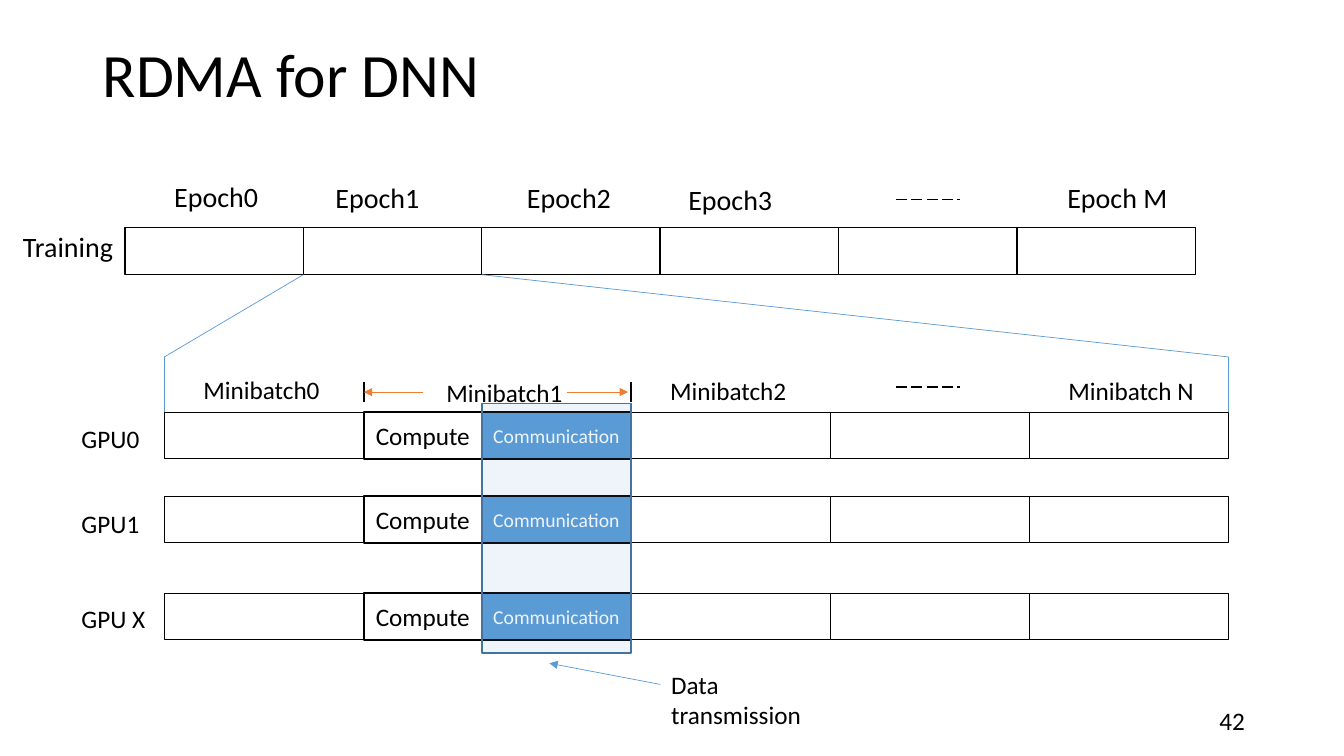
from dataclasses import dataclass
from itertools import accumulate

from lxml import etree
from pptx import Presentation
from pptx.dml.color import RGBColor
from pptx.enum.dml import MSO_LINE
from pptx.enum.shapes import MSO_CONNECTOR, MSO_SHAPE
from pptx.enum.text import MSO_ANCHOR, MSO_AUTO_SIZE, PP_ALIGN
from pptx.oxml.ns import qn
from pptx.util import Emu, Inches, Pt

RECT, STRAIGHT = MSO_SHAPE.RECTANGLE, MSO_CONNECTOR.STRAIGHT
MIDDLE, TOP = MSO_ANCHOR.MIDDLE, MSO_ANCHOR.TOP
CENTER, LEFT = PP_ALIGN.CENTER, PP_ALIGN.LEFT
FIT, FIXED = MSO_AUTO_SIZE.SHAPE_TO_FIT_TEXT, MSO_AUTO_SIZE.NONE
DASH = MSO_LINE.LONG_DASH
COLS, ROWS = 160, 90  # grid over the whole slide


@dataclass(frozen=True)
class Theme:
    font: str = "Calibri"
    ink: str = "000000"
    paper: str = "FFFFFF"
    blue: str = "5B9BD5"
    navy: str = "43739E"
    orange: str = "ED7D31"
    title: int = 44
    head: int = 20
    body: int = 18
    small: int = 14
    hair: float = 0.5
    thin: float = 1
    bold: float = 1.5


THEME = Theme()


@dataclass(frozen=True)
class Label:
    text: str
    x: float
    y: float
    w: float
    h: float = 4.8
    size: int = THEME.body
    wrap: bool = False


@dataclass(frozen=True)
class Box:
    x: float
    y: float
    w: float
    h: float
    text: str = ""
    size: int = THEME.body
    ink: str = THEME.ink
    fill: str = THEME.paper
    edge: str = THEME.ink
    width: float = THEME.thin
    alpha: int = 100


@dataclass(frozen=True)
class Line:
    x1: float
    y1: float
    x2: float
    y2: float
    color: str = THEME.ink
    width: float = THEME.thin
    dash: bool = False
    arrow: bool = False


deck = Presentation()
deck.slide_width, deck.slide_height = Inches(40 / 3), Inches(7.5)
slide = deck.slides.add_slide(deck.slide_layouts[6])


def col(n: float) -> Emu:
    return Emu(round(deck.slide_width * n / COLS))


def row(n: float) -> Emu:
    return Emu(round(deck.slide_height * n / ROWS))


def apply(item: object, form: dict) -> None:
    for key, value in form.items():
        setattr(item, key, value)


def write(frame, text: str, size: int, ink: str, form: dict, align=LEFT):
    apply(frame, form)
    para = frame.paragraphs[0]
    para.alignment = align
    run = para.add_run()
    run.text = text
    apply(run.font, {"name": THEME.font, "size": Pt(size)})
    run.font.color.rgb = RGBColor.from_string(ink)
    return para


def add_label(label: Label, anchor=TOP, fit=FIT):
    place = col(label.x), row(label.y), col(label.w), row(label.h)
    frame = slide.shapes.add_textbox(*place).text_frame
    form = {"word_wrap": label.wrap, "auto_size": fit, "vertical_anchor": anchor}
    return write(frame, label.text, label.size, THEME.ink, form)


def add_box(box: Box) -> None:
    shape = slide.shapes.add_shape(RECT, col(box.x), row(box.y), col(box.w), row(box.h))
    shape.shadow.inherit = False
    shape.fill.solid()
    shape.fill.fore_color.rgb = RGBColor.from_string(box.fill)
    shape.line.color.rgb = RGBColor.from_string(box.edge)
    shape.line.width = Pt(box.width)
    if box.alpha < 100:
        tint = shape.fill._xPr.find(f".//{qn('a:srgbClr')}")
        etree.SubElement(tint, qn("a:alpha"), val=str(box.alpha * 1000))
    if box.text:
        form = {"word_wrap": True, "vertical_anchor": MIDDLE,
                "margin_left": 0, "margin_right": 0}
        write(shape.text_frame, box.text, box.size, box.ink, form, CENTER)


def add_line(line: Line) -> None:
    link = slide.shapes.add_connector(
        STRAIGHT, col(line.x1), row(line.y1), col(line.x2), row(line.y2))
    link.line.color.rgb = RGBColor.from_string(line.color)
    link.line.width = Pt(line.width)
    if line.dash:
        link.line.dash_style = DASH
    if line.arrow:
        etree.SubElement(link.line._get_or_add_ln(), qn("a:tailEnd"), type="triangle")
    etree.SubElement(link._element.spPr, qn("a:effectLst"))


# Title and page number
title = Label("RDMA for DNN", 11.04, 3.24, 138, 12, THEME.title, True)
add_label(title, MIDDLE, FIXED).line_spacing = 0.9
add_label(Label("42", 144, 83.4, 6))

# Training bar with its epochs
start, step, epochs = 14.88, 21.24, 6
for n in range(epochs):
    add_box(Box(start + n * step, 27.12, step, 5.6))
for text, x, y, w in (
    ("Epoch0", 19.56, 20.76, 12.48), ("Epoch1", 38.76, 20.88, 12.48),
    ("Epoch2", 61.56, 20.88, 12.48), ("Epoch3", 80.76, 21.12, 12.48),
    ("Epoch M", 125.88, 20.88, 14.4), ("Training", 1.56, 26.76, 13.2),
):
    add_label(Label(text, x, y, w, 5.28, THEME.head))

# Minibatch names
for text, x, y, w in (
    ("Minibatch0", 23.04, 43.92, 16.44), ("Minibatch1", 51.96, 44.28, 16.44),
    ("Minibatch2", 78.6, 44.04, 16.44), ("Minibatch N", 126, 44.04, 17.52),
):
    add_label(Label(text, x, y, w))

# Minibatch cells of each GPU
widths = (23.76, 14.04, 17.76, 23.72, 23.72, 23.72)
left, *edges = accumulate(widths, initial=19.56)
begin, split, end, *_, right = edges
filled = {
    1: {"text": "Compute", "width": THEME.bold},
    2: {"text": "Communication", "width": THEME.bold, "fill": THEME.blue,
        "ink": THEME.paper, "size": THEME.small},
}
for name, y, tag, w in (("GPU0", 49.1, 49.8, 9.36), ("GPU1", 59.1, 59.88, 9.36),
                        ("GPU X", 70.65, 71.28, 10.08)):
    add_label(Label(name, 8.52, tag, w))
    for n, (x, wide) in enumerate(zip((left, *edges), widths)):
        add_box(Box(x, y, wide, 5.5, **filled.get(n, {})))

# Ellipsis dashes
for y in (23.76, 46.08):
    add_line(Line(106.68, y, 114.24, y, dash=True))

# Span of the second minibatch
for x, tail, tip in ((begin, 50.4, begin), (end, 67.56, 74.76)):
    add_line(Line(x, 45.5, x, 47.88, width=THEME.bold))
    add_line(Line(tail, 46.68, tip, 46.68, THEME.orange, THEME.hair, arrow=True))

# Zoom from one epoch into its minibatches
for n, x in ((1, left), (2, right)):
    add_line(Line(start + n * step, 32.7, x, 42.5, THEME.blue, THEME.hair))
    add_line(Line(x, 49.1, x, 42.5, THEME.blue, THEME.hair))

# Data transmission highlight
add_box(Box(split, 48, end - split, 29.76, fill=THEME.blue, edge=THEME.navy, alpha=10))
add_line(Line(78.6, 81.48, 65.4, 78.96, THEME.blue, THEME.hair, arrow=True))
add_label(Label("Data transmission", 78.72, 79.08, 22.56, 8.5, wrap=True))

deck.save("out.pptx")
